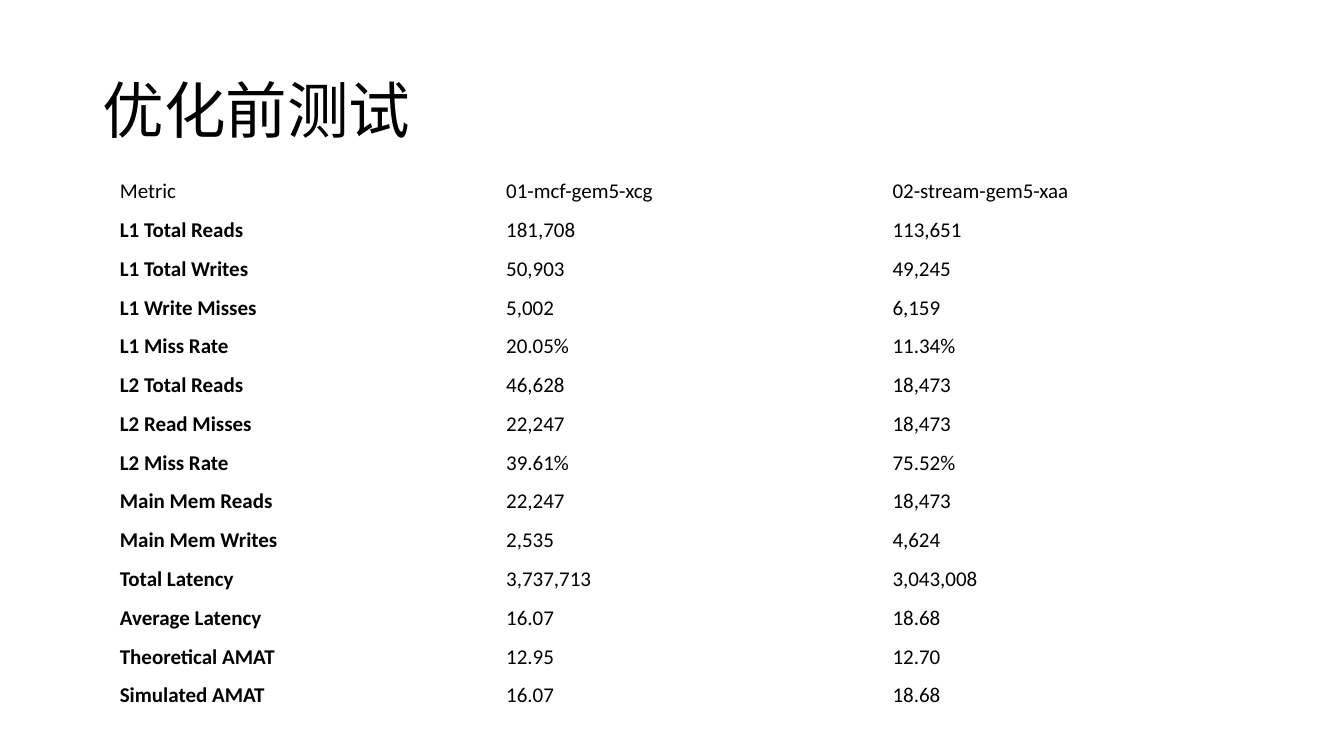
from dataclasses import dataclass

from pptx import Presentation
from pptx.dml.color import RGBColor
from pptx.enum.text import MSO_ANCHOR, MSO_AUTO_SIZE, PP_ALIGN
from pptx.util import Cm, Pt

MIDDLE = MSO_ANCHOR.MIDDLE
LEFT = PP_ALIGN.LEFT
NO_AUTOFIT = MSO_AUTO_SIZE.NONE
TITLE_ONLY = 5


@dataclass(frozen=True)
class Theme:
    font: str = "Calibri"
    text: RGBColor = RGBColor(0, 0, 0)
    title_size: int = 44
    table_size: int = 15


@dataclass(frozen=True)
class Metric:
    name: str
    mcf: str
    stream: str
    bold: bool = True


THEME = Theme()
TITLE_BOX = {"left": Cm(2.33), "top": Cm(1.01), "width": Cm(29.21), "height": Cm(3.68)}
TABLE_BOX = (Cm(2.82), Cm(4.34), Cm(29.21), Cm(13.69))
CELL_FORMAT = {
    "margin_left": Cm(0.2), "margin_right": Cm(0.2),
    "margin_top": Cm(0.1), "margin_bottom": Cm(0.1),
    "vertical_anchor": MIDDLE,
}
PLAIN_TABLE = {"first_row": False, "horz_banding": False}

METRICS = [
    Metric("Metric", "01-mcf-gem5-xcg", "02-stream-gem5-xaa", bold=False),
    Metric("L1 Total Reads", "181,708", "113,651"),
    Metric("L1 Total Writes", "50,903", "49,245"),
    Metric("L1 Write Misses", "5,002", "6,159"),
    Metric("L1 Miss Rate", "20.05%", "11.34%"),
    Metric("L2 Total Reads", "46,628", "18,473"),
    Metric("L2 Read Misses", "22,247", "18,473"),
    Metric("L2 Miss Rate", "39.61%", "75.52%"),
    Metric("Main Mem Reads", "22,247", "18,473"),
    Metric("Main Mem Writes", "2,535", "4,624"),
    Metric("Total Latency", "3,737,713", "3,043,008"),
    Metric("Average Latency", "16.07", "18.68"),
    Metric("Theoretical AMAT", "12.95", "12.70"),
    Metric("Simulated AMAT", "16.07", "18.68"),
]


def set_attrs(obj: object, values: dict) -> None:
    for name, value in values.items():
        setattr(obj, name, value)


def write_text(tf, text: str, size: int, bold: bool = False) -> None:
    p = tf.paragraphs[0]
    p.alignment = LEFT
    r = p.add_run()
    r.text = text
    set_attrs(r.font, {"name": THEME.font, "size": Pt(size), "bold": bold})
    r.font.color.rgb = THEME.text


def add_title(s, text: str) -> None:
    sp = s.shapes.title
    set_attrs(sp, TITLE_BOX)
    tf = sp.text_frame
    set_attrs(tf, {"vertical_anchor": MIDDLE, "word_wrap": True, "auto_size": NO_AUTOFIT})
    write_text(tf, text, THEME.title_size)
    tf.paragraphs[0].line_spacing = 0.9


def add_metric_table(s, metrics: list[Metric]) -> None:
    table = s.shapes.add_table(len(metrics), 3, *TABLE_BOX).table
    set_attrs(table, PLAIN_TABLE)
    for row, metric in zip(table.rows, metrics):
        for col, text in enumerate((metric.name, metric.mcf, metric.stream)):
            cell = row.cells[col]
            set_attrs(cell, CELL_FORMAT)
            cell.fill.background()
            write_text(cell.text_frame, text, THEME.table_size, metric.bold and col == 0)


def main() -> None:
    prs = Presentation()
    set_attrs(prs, {"slide_width": Cm(33.87), "slide_height": Cm(19.05)})
    s = prs.slides.add_slide(prs.slide_layouts[TITLE_ONLY])
    add_title(s, "优化前测试")
    add_metric_table(s, METRICS)
    prs.save("out.pptx")


if __name__ == "__main__":
    main()
